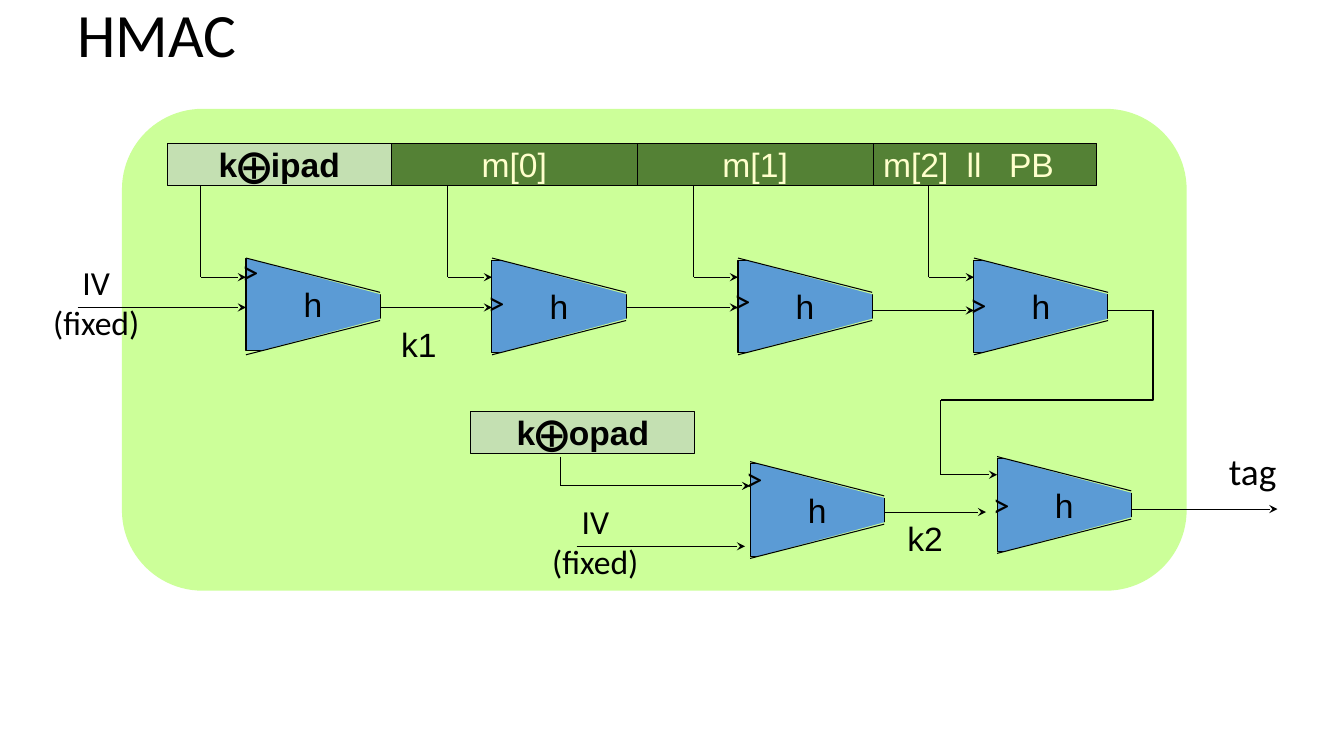
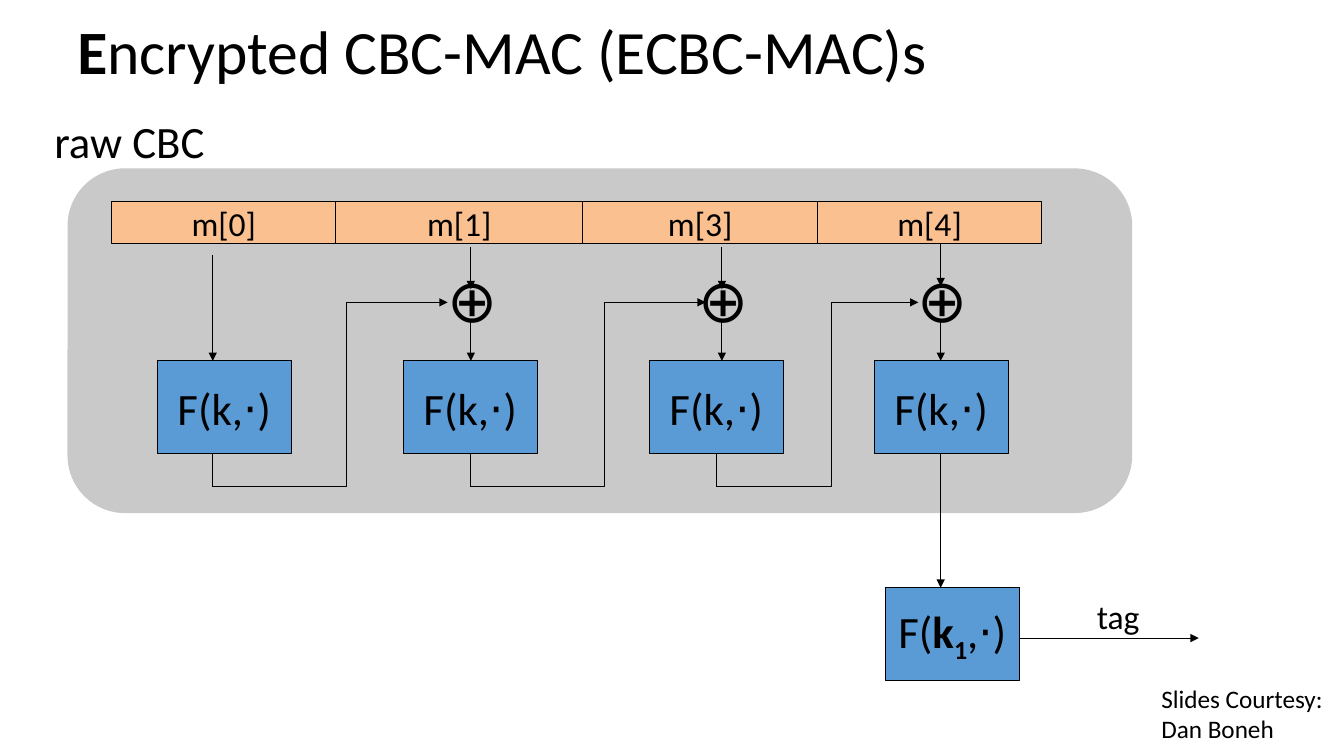
from itertools import pairwise

from lxml import etree
from pptx import Presentation
from pptx.dml.color import RGBColor
from pptx.enum.shapes import MSO_CONNECTOR, MSO_SHAPE
from pptx.enum.text import MSO_ANCHOR, PP_ALIGN
from pptx.oxml.ns import qn
from pptx.util import Inches, Pt

RECTANGLE = MSO_SHAPE.RECTANGLE
ROUNDED = MSO_SHAPE.ROUNDED_RECTANGLE
TRIANGLE = MSO_SHAPE.RIGHT_TRIANGLE
STRAIGHT, ELBOW = MSO_CONNECTOR.STRAIGHT, MSO_CONNECTOR.ELBOW
LEFT, CENTER = PP_ALIGN.LEFT, PP_ALIGN.CENTER
TOP, MIDDLE = MSO_ANCHOR.TOP, MSO_ANCHOR.MIDDLE

COLORS = {
    "ink": "000000", "block": "5B9BD5", "lime": "CCFF99", "key": "C4E0B2",
    "message": "548135", "cream": "FFFFCC", "gray": "C9C9C9", "orange": "FAC090",
}
BODY, DIAGRAM = "Calibri", "Arial"
BLOCK_WIDTH, BLOCK_HEIGHT = 1.33, 0.92
STRIP_HEIGHT = 0.42

# HMAC slide: text, left, width, fill, text colour, bold, tab stops
HMAC_STRIP = [
    ("k⨁ipad", 1.66, 2.22, "key", "ink", True, ()),
    ("m[0]", 3.88, 2.44, "message", "cream", False, ()),
    ("m[1]", 6.32, 2.34, "message", "cream", False, ()),
    ("m[2]\tll\tPB", 8.66, 2.22, "message", "cream", False, (0.83, 1.25)),
]
HMAC_STRIP_TOP = 1.42
OPAD = ("k⨁opad", 4.67, 2.22, "key", "ink", True, ())
OPAD_TOP = 4.08
# Hash blocks: left, top of the taper, inset of the body, top of the ">" mark
HASH_BLOCKS = [
    (2.44, 2.56, 0, 2.44),
    (4.88, 2.56, 0.02, 2.75),
    (7.32, 2.56, 0.02, 2.73),
    (9.66, 2.56, 0.02, 2.77),
    (7.44, 4.58, 0.02, 4.49),
    (9.89, 4.53, 0.02, 4.75),
]
HASH_ROUTES = [
    [(0.77, 3.05), (2.44, 3.05)],
    [(3.77, 3.05), (4.88, 3.05)],
    [(6.21, 3.05), (7.32, 3.05)],
    [(8.66, 3.08), (9.66, 3.08)],
    [(5.56, 4.53), (5.56, 4.82), (7.44, 4.82)],
    [(5.72, 5.42), (7.39, 5.42)],
    [(8.78, 5.08), (9.78, 5.08)],
    [(9.33, 3.97), (9.33, 4.71), (9.89, 4.71)],
    [(11.22, 5.05), (12.67, 5.05)],
]
MESSAGE_DROPS = [1.99, 4.44, 6.88, 9.21]
CHAIN_LABELS = [("k1", 3.49, 2.95), ("k2", 8.51, 4.88)]
IV_LABELS = [(0.42, 2.55), (5.37, 4.92)]

# ECBC-MAC slide
CBC_STRIP = [
    ("m[0]", 1.11, 2.22), ("m[1]", 3.33, 2.45),
    ("m[3]", 5.78, 2.33), ("m[4]", 8.11, 2.22),
]
CIPHER_LEFTS = [1.56, 4, 6.44, 8.67]
CIPHER_TOP = 3.58
XORS = [(4.67, 2.45), (7.16, 2.45), (9.33, 2.42)]  # centre, start of arrow
FEEDBACKS = [(2.11, 3.44, 4.44), (4.67, 6, 7), (7.11, 8.25, 9.11)]
FEEDBACK_BOTTOM, FEEDBACK_TOP = 4.83, 3
FINAL_CIPHER = [("F(", False, 0), ("k", True, 0), ("1", True, -25), (",⋅)", False, 0)]


def rgb(name):
    return RGBColor.from_string(COLORS[name])


def write(shape, paragraphs, size, font=BODY, color="ink", bold=False,
          align=LEFT, anchor=TOP, tabs=(), spacing=None):
    """Each paragraph is a string or a list of (text, bold, baseline percent)."""
    frame = shape.text_frame
    frame.word_wrap = True
    frame.vertical_anchor = anchor
    for index, content in enumerate(paragraphs):
        paragraph = frame.add_paragraph() if index else frame.paragraphs[0]
        paragraph.alignment = align
        if spacing:
            paragraph.line_spacing = spacing
        if tabs:
            stops = etree.SubElement(paragraph._p.get_or_add_pPr(), qn("a:tabLst"))
            for stop in tabs:
                etree.SubElement(stops, qn("a:tab"), pos=str(Inches(stop)), algn="l")
        paragraph.font.name = font
        paragraph.font.size = Pt(size)
        paragraph.font.color.rgb = rgb(color)
        if isinstance(content, str):
            paragraph.font.bold = bold
            paragraph.add_run().text = content
            continue
        for text, run_bold, baseline in content:
            run = paragraph.add_run()
            run.text = text
            run.font.bold = run_bold
            if baseline:
                run._r.get_or_add_rPr().set("baseline", str(baseline * 1000))


def add_label(slide, paragraphs, left, top, width, height, size, **style):
    box = slide.shapes.add_textbox(*map(Inches, (left, top, width, height)))
    write(box, paragraphs, size, **style)


def add_title(slide, content, top, height):
    add_label(slide, [content], 0.67, top, 12, height, 44, anchor=MIDDLE, spacing=0.9)


def add_box(slide, kind, left, top, width, height, fill, outlined=True):
    shape = slide.shapes.add_shape(kind, *map(Inches, (left, top, width, height)))
    shape.shadow.inherit = False
    shape.fill.solid()
    shape.fill.fore_color.rgb = rgb(fill)
    if outlined:
        shape.line.color.rgb = rgb("ink")
        shape.line.width = Pt(0.75)
    else:
        shape.line.fill.background()
    return shape


def add_panel(slide, left, top, width, height, fill):
    panel = add_box(slide, ROUNDED, left, top, width, height, fill, outlined=False)
    panel.adjustments[0] = 0.167


def add_block(slide, left, top, content, size, font=BODY):
    block = add_box(slide, RECTANGLE, left, top, BLOCK_WIDTH, BLOCK_HEIGHT, "block")
    write(block, [content], size, font=font, align=CENTER, anchor=MIDDLE)


def style_line(shape, head=None, width=0.75):
    shape.line.color.rgb = rgb("ink")
    shape.line.width = Pt(width)
    if head:
        outline = shape._element.spPr.find(qn("a:ln"))
        etree.SubElement(outline, qn("a:tailEnd"), type=head)


def add_line(slide, start, end, head=None, kind=STRAIGHT, width=0.75):
    connector = slide.shapes.add_connector(kind, *map(Inches, (*start, *end)))
    style_line(connector, head, width)
    etree.SubElement(connector._element.spPr, qn("a:effectLst"))
    return connector


def add_route(slide, points, head):
    """Straight lines through the points, with an arrowhead on the last one."""
    for start, end in pairwise(points):
        add_line(slide, start, end, head if end == points[-1] else None)


def add_bent_arrow(slide, points, head):
    (first, *rest) = [tuple(map(Inches, point)) for point in points]
    builder = slide.shapes.build_freeform(*first)
    builder.add_line_segments(rest, close=False)
    shape = builder.convert_to_shape()
    shape.shadow.inherit = False
    shape.fill.background()
    style_line(shape, head)


def add_strip_cell(slide, cell, top):
    text, left, width, fill, color, bold, tabs = cell
    shape = add_box(slide, RECTANGLE, left, top, width, STRIP_HEIGHT, fill)
    write(shape, [text], 24, font=DIAGRAM, color=color, bold=bold, tabs=tabs,
          align=LEFT if tabs else CENTER, anchor=MIDDLE)


def add_hash_block(slide, left, top, inset, mark_top):
    """A block whose right corners are cut off by two panel-coloured triangles."""
    add_block(slide, left, top + inset, "h", 24, DIAGRAM)
    right = left + BLOCK_WIDTH
    upper = add_box(slide, TRIANGLE, left, top, 1.56, 0.42, "lime", outlined=False)
    upper.rotation = 180
    lower = add_box(slide, TRIANGLE, left, top + 0.54, 1.56, 0.42, "lime", outlined=False)
    lower._element.spPr.find(qn("a:xfrm")).set("flipH", "1")
    add_line(slide, (left, top), (right, top + 0.34))
    add_line(slide, (left, top + 0.96), (right, top + 0.62))
    add_label(slide, [">"], left - 0.14, mark_top, 0.45, 0.5, 24)


def build_hmac(slide):
    add_title(slide, "HMAC", -0.25, 1.25)
    add_panel(slide, 1.21, 1.08, 10.56, 4.78, "lime")
    for cell in HMAC_STRIP:
        add_strip_cell(slide, cell, HMAC_STRIP_TOP)
    add_strip_cell(slide, OPAD, OPAD_TOP)
    for block in HASH_BLOCKS:
        add_hash_block(slide, *block)

    # Arrows into and between the hash blocks
    strip_bottom = HMAC_STRIP_TOP + STRIP_HEIGHT
    drops = [[(x, strip_bottom), (x, 2.75), (block[0], 2.75)]
             for x, block in zip(MESSAGE_DROPS, HASH_BLOCKS)]
    for points in drops + HASH_ROUTES:
        add_route(slide, points, "stealth")

    # Return path to the outer hash
    add_line(slide, (10.99, 3.08), (11.44, 3.08))
    elbow = add_line(slide, (11.44, 3.08), (9.33, 3.97), kind=ELBOW, width=1.5)
    geometry = elbow._element.spPr.find(qn("a:prstGeom"))
    guides = geometry.find(qn("a:avLst"))
    if guides is None:
        guides = etree.SubElement(geometry, qn("a:avLst"))
    etree.SubElement(guides, qn("a:gd"), name="adj1", fmla="val 0")

    # Labels
    for left, top in IV_LABELS:
        add_label(slide, ["IV", "(fixed)"], left, top, 1.07, 0.91, 24, align=CENTER)
    for text, left, top in CHAIN_LABELS:
        add_label(slide, [text], left, top, BLOCK_WIDTH, BLOCK_HEIGHT, 24,
                  font=DIAGRAM, align=CENTER, anchor=MIDDLE)
    add_label(slide, ["tag"], 12.09, 4.4, 0.9, 0.55, 26.7)


def build_ecbc(slide):
    add_panel(slide, 0.67, 1.67, 10.56, 3.42, "gray")
    add_label(slide, ["raw CBC"], 0.44, 1.08, 1.9, 0.64, 32)
    add_title(slide, [("E", True, 0), ("ncrypted CBC-MAC (ECBC-MAC)s", False, 0)],
              0.08, 0.92)

    # Message strip and ciphers
    for text, left, width in CBC_STRIP:
        cell = add_box(slide, RECTANGLE, left, 2, width, STRIP_HEIGHT, "orange")
        write(cell, [text], 24, align=CENTER, anchor=MIDDLE)
    for left in CIPHER_LEFTS:
        add_block(slide, left, CIPHER_TOP, "F(k,⋅)", 32)
    add_block(slide, 8.78, 5.83, FINAL_CIPHER, 32)

    # Message blocks into XORs and ciphers
    add_line(slide, (2.11, 2.53), (2.11, CIPHER_TOP), "triangle")
    for x, start in XORS:
        add_label(slide, ["⊕"], x - 0.33, 2.56, 0.75, 0.82, 42.7)
        add_line(slide, (x, start), (x, start + 0.42), "triangle")
        add_line(slide, (x, 3.17), (x, CIPHER_TOP), "triangle")

    # Feedback from each cipher to the next XOR
    for x, middle, end in FEEDBACKS:
        add_line(slide, (x, CIPHER_TOP + BLOCK_HEIGHT), (x, FEEDBACK_BOTTOM))
        add_bent_arrow(slide, [(x, FEEDBACK_BOTTOM), (middle, FEEDBACK_BOTTOM),
                               (middle, FEEDBACK_TOP), (end, FEEDBACK_TOP)], "triangle")

    # Final encryption and credit
    add_line(slide, (9.33, 4.5), (9.33, 5.83), "triangle")
    add_line(slide, (10.11, 6.33), (11.89, 6.33), "triangle")
    add_label(slide, ["tag"], 10.78, 5.86, 0.8, 0.5, 24)
    add_label(slide, ["Slides Courtesy:", "Dan Boneh"], 11.42, 6.73, 1.9, 0.71, 18)


def main():
    presentation = Presentation()
    presentation.slide_width = Inches(13.33)
    presentation.slide_height = Inches(7.5)
    for build in (build_hmac, build_ecbc):
        build(presentation.slides.add_slide(presentation.slide_layouts[6]))
    presentation.save("out.pptx")


if __name__ == "__main__":
    main()
